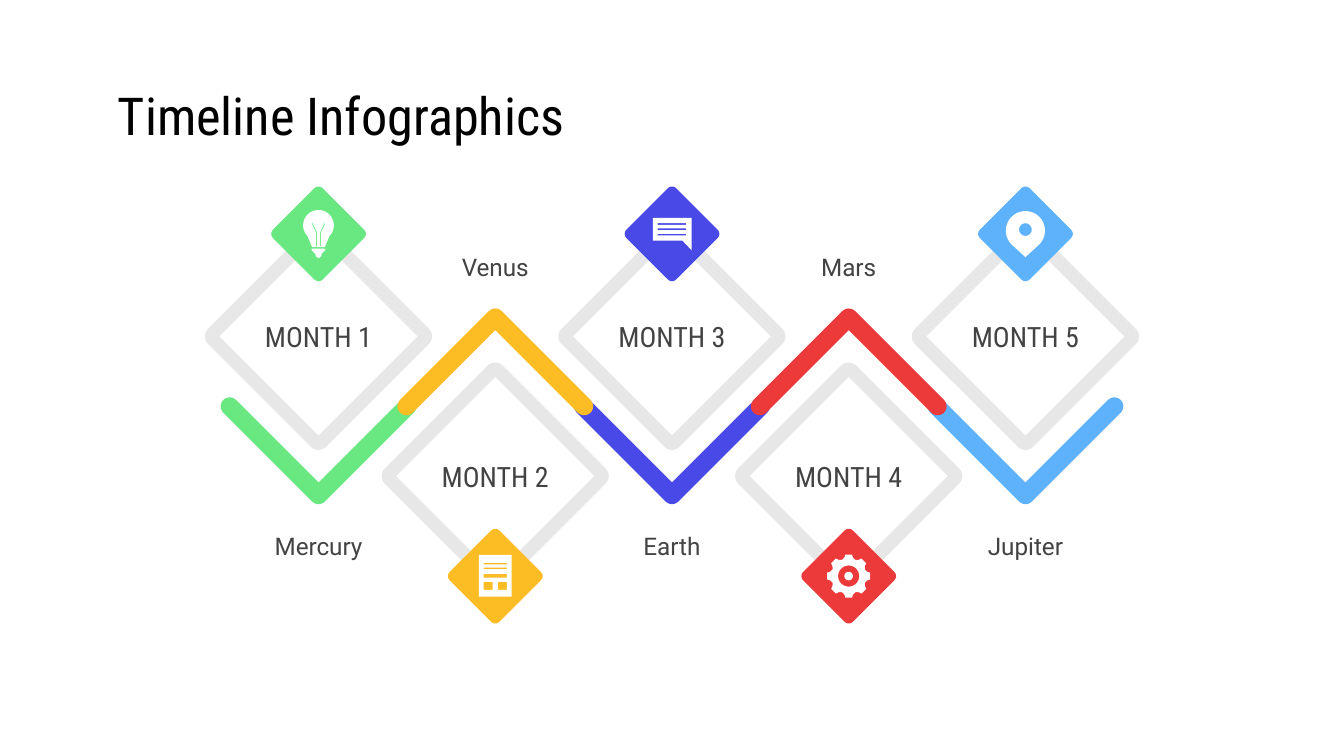
from dataclasses import dataclass
from math import cos, radians, sin

from pptx import Presentation
from pptx.dml.color import RGBColor
from pptx.enum.text import MSO_ANCHOR, PP_ALIGN
from pptx.util import Cm, Pt

MIDDLE = MSO_ANCHOR.MIDDLE
LEFT, CENTER = PP_ALIGN.LEFT, PP_ALIGN.CENTER

HEADING_FONT, BODY_FONT = "Roboto Condensed", "Roboto"
WHITE, GRAY, TEXT, BLACK = "FFFFFF", "E7E7E7", "434343", "000000"

# Layout in centimetres
MIDDLE_X, PITCH, AXIS_Y = 12.7, 3.34, 7.68
LABEL_WIDTH, LABEL_HEIGHT = 2.92, 1.19

Point = tuple[float, float]
Contour = list[Point]


@dataclass
class Row:
    direction: int  # 1: path dips below the axis, -1: path rises above it
    diamond_y: float
    badge_y: float
    label_y: float


@dataclass
class Month:
    number: int
    planet: str
    color: str
    row: Row
    icon: list[list[Contour]]  # shapes, each made of contours


# Outline geometry
def arc(x: float, y: float, radius: float, start: int = 0, end: int = 350) -> Contour:
    return [(x + radius * cos(radians(angle)), y + radius * sin(radians(angle)))
            for angle in range(start, end + 1, 10)]


def box(left: float, top: float, right: float, bottom: float) -> Contour:
    return [(left, top), (right, top), (right, bottom), (left, bottom)]


def mirror(points: Contour) -> Contour:
    return [(-x, y) for x, y in points]


def rounded(corners: Contour, cut: float, sharp: tuple[int, ...] = ()) -> Contour:
    """Replace each corner, except the sharp ones, by a sampled curve."""
    points = []
    for index, (x, y) in enumerate(corners):
        if index in sharp:
            points.append((x, y))
            continue
        ends = []
        for other_x, other_y in (corners[index - 1], corners[(index + 1) % len(corners)]):
            length = ((other_x - x) ** 2 + (other_y - y) ** 2) ** 0.5
            ends.append(((other_x - x) / length * cut, (other_y - y) / length * cut))
        (ax, ay), (bx, by) = ends
        for step in range(7):
            t = step / 6
            # Cubic curve whose handles reach 55 % of the way to the corner
            a = (1 - t) ** 3 + 1.35 * (1 - t) ** 2 * t
            b = t ** 3 + 1.35 * (1 - t) * t ** 2
            points.append((x + a * ax + b * bx, y + a * ay + b * by))
    return points


def diamond(half: float, cut: float = 0) -> Contour:
    corners = [(0, -half), (half, 0), (0, half), (-half, 0)]
    return rounded(corners, cut) if cut else corners


def chevron(direction: int) -> Contour:
    corners = [(-1.68, -0.24), (0, 1.44), (1.68, -0.24), (1.92, 0), (0, 1.92), (-1.92, 0)]
    return rounded([(x, y * direction) for x, y in corners], 0.17, sharp=(1,))


# Icons, relative to the centre of their badge
def bulb_icon() -> list[list[Contour]]:
    glass = arc(0, -0.16, 0.29, 135, 405) + [(0.12, 0.25), (-0.12, 0.25)]
    wire = [(-0.13, -0.2), (-0.05, -0.03), (-0.05, 0.24),
            (-0.03, 0.24), (-0.03, -0.03), (-0.11, -0.2)]
    half_base = [(0.13, 0.28), (0.13, 0.31), (0.06, 0.38), (0.05, 0.43), (0, 0.46)]
    return [[glass, wire, mirror(wire)], [half_base + mirror(half_base)[::-1]]]


def page_icon() -> list[list[Contour]]:
    square = box(-0.22, 0.11, -0.05, 0.26)
    return [[box(-0.31, -0.4, 0.31, 0.39), box(-0.22, -0.25, 0.22, -0.22),
             box(-0.22, -0.16, 0.22, -0.13), box(-0.22, -0.04, 0.22, 0.03),
             square, mirror(square)]]


def chat_icon() -> list[list[Contour]]:
    bubble = [(-0.36, -0.3), (0.37, -0.3), (0.37, 0.31), (0.2, 0.13), (-0.36, 0.13)]
    return [[bubble] + [box(-0.27, top, 0.27, top + 0.03) for top in (-0.2, -0.1, 0)]]


def gear_icon() -> list[list[Contour]]:
    profile = [(-13, 0.36), (-9, 0.41), (9, 0.41), (13, 0.36), (22.5, 0.33)]
    teeth = [(radius * cos(radians(tooth + angle)), radius * sin(radians(tooth + angle)))
             for tooth in range(0, 360, 45) for angle, radius in profile]
    return [[teeth, arc(0, 0, 0.2)], [arc(0, 0, 0.08)]]


def pin_icon() -> list[list[Contour]]:
    return [[arc(0, -0.06, 0.37, 135, 405) + [(0, 0.44)], arc(0, -0.08, 0.12)]]


# Drawing
def rgb(color: str) -> RGBColor:
    return RGBColor.from_string(color)


def draw_outline(shapes, x: float, y: float, contours: list[Contour], color: str):
    """Draw contours around (x, y); inner contours become holes."""
    builder = None
    for contour in contours:
        start, *others = [(Cm(x + dx), Cm(y + dy)) for dx, dy in contour]
        if builder is None:
            builder = shapes.build_freeform(*start)
        else:
            builder.move_to(*start)
        builder.add_line_segments(others, close=True)
    shape = builder.convert_to_shape()
    shape.shadow.inherit = False
    shape.fill.solid()
    shape.fill.fore_color.rgb = rgb(color)
    shape.line.fill.background()
    return shape


def write_text(shape, text: str, size: float, font: str, color: str = TEXT,
               alignment: PP_ALIGN = CENTER) -> None:
    frame = shape.text_frame
    frame.word_wrap = True
    frame.vertical_anchor = MIDDLE
    frame.margin_left = frame.margin_right = Cm(0.25)
    frame.margin_top = frame.margin_bottom = Cm(0.25)
    paragraph = frame.paragraphs[0]
    paragraph.text = text
    paragraph.alignment = alignment
    paragraph.font.size = Pt(size)
    paragraph.font.name = font
    paragraph.font.color.rgb = rgb(color)


def draw_month(slide, month: Month) -> None:
    shapes = slide.shapes.add_group_shape().shapes
    row = month.row
    x = MIDDLE_X + (month.number - 3) * PITCH
    draw_outline(shapes, x, AXIS_Y, [chevron(row.direction)], month.color)
    draw_outline(shapes, x, row.diamond_y, [diamond(2.23, 0.2)], GRAY)
    center = draw_outline(shapes, x, row.diamond_y, [diamond(1.87)], WHITE)
    write_text(center, f"MONTH {month.number}", 15, HEADING_FONT)
    draw_outline(shapes, x, row.badge_y, [diamond(0.94, 0.11)], month.color)
    for contours in month.icon:
        draw_outline(shapes, x, row.badge_y, contours, WHITE)
    label = shapes.add_textbox(Cm(x - LABEL_WIDTH / 2), Cm(row.label_y),
                               Cm(LABEL_WIDTH), Cm(LABEL_HEIGHT))
    write_text(label, month.planet, 13, BODY_FONT)


def main() -> None:
    presentation = Presentation()
    presentation.slide_width, presentation.slide_height = Cm(25.4), Cm(14.29)
    slide = presentation.slides.add_slide(presentation.slide_layouts[6])

    title = slide.shapes.add_textbox(Cm(1.98), Cm(1.5), Cm(21.46), Cm(1.35))
    write_text(title, "Timeline Infographics", 28, HEADING_FONT, BLACK, LEFT)

    # Rising months come last so that their path ends lie on top
    upper = Row(1, 6.36, 4.42, 9.73)
    lower = Row(-1, 9.0, 10.89, 4.45)
    months = [
        Month(1, "Mercury", "69E781", upper, bulb_icon()),
        Month(3, "Earth", "4949E7", upper, chat_icon()),
        Month(5, "Jupiter", "5EB2FC", upper, pin_icon()),
        Month(2, "Venus", "FCBD24", lower, page_icon()),
        Month(4, "Mars", "EC3A3B", lower, gear_icon()),
    ]
    for month in months:
        draw_month(slide, month)
    presentation.save("out.pptx")


if __name__ == "__main__":
    main()
